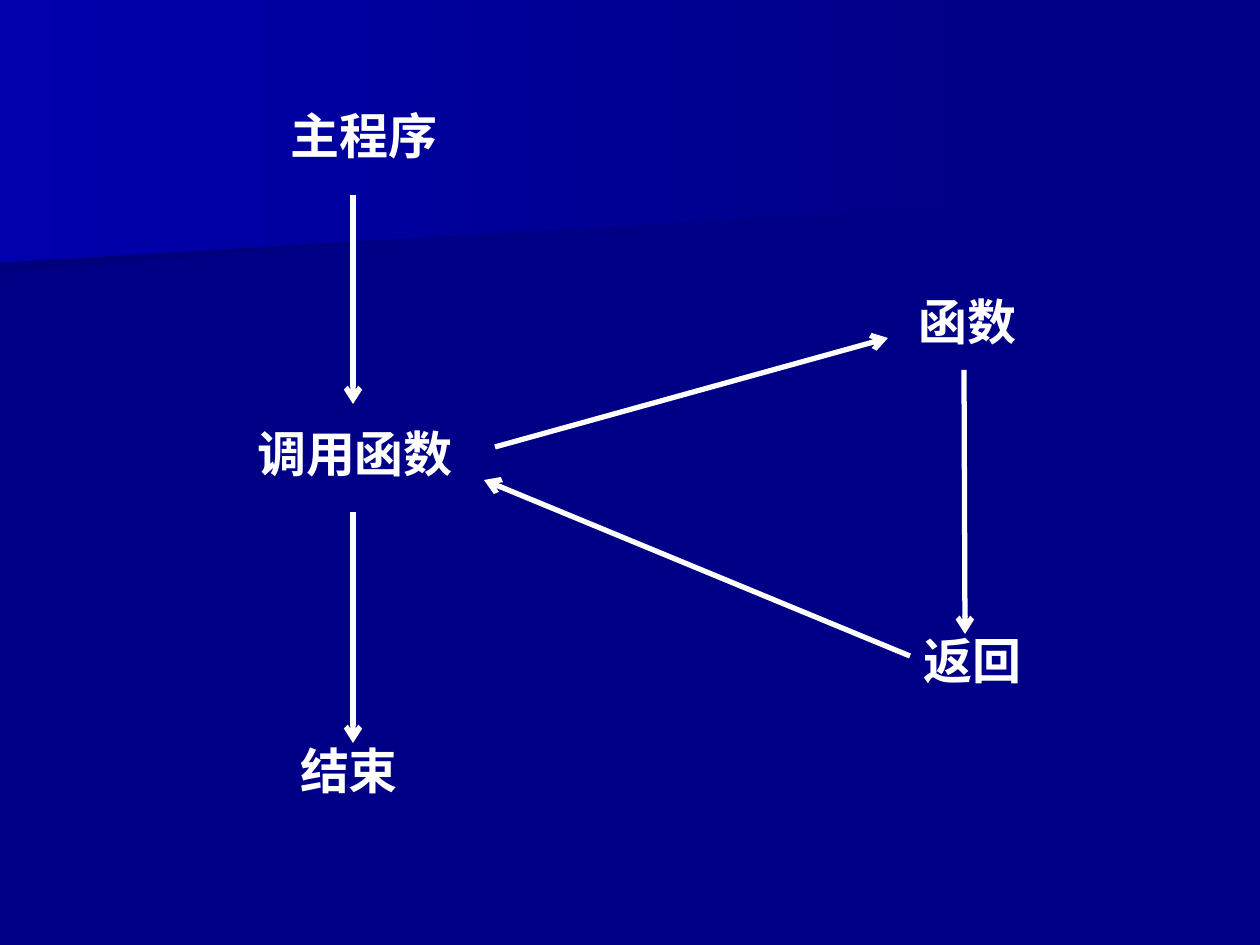
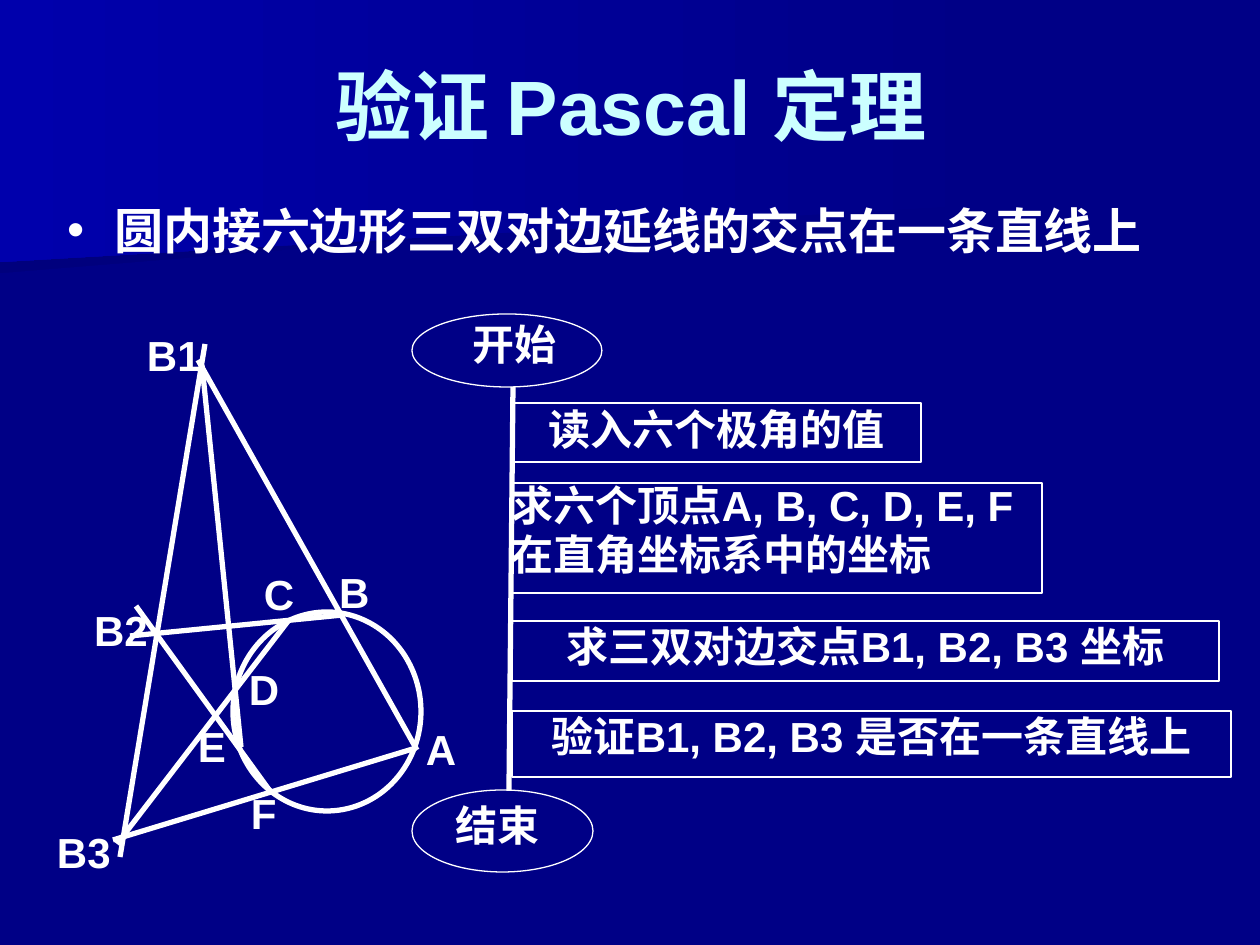
from dataclasses import dataclass

from lxml.etree import SubElement
from pptx import Presentation
from pptx.dml.color import RGBColor as Rgb
from pptx.enum.shapes import MSO_CONNECTOR as Connector, MSO_SHAPE as Shape
from pptx.enum.text import MSO_ANCHOR as Anchor, MSO_AUTO_SIZE as AutoSize, PP_ALIGN as Align
from pptx.oxml.ns import qn
from pptx.util import Emu, Pt

SCALE = 914400 / 126


@dataclass(frozen=True)
class Theme:
    back: Rgb = Rgb.from_string("000086")
    shade: Rgb = Rgb.from_string("00007D")
    glow: Rgb = Rgb.from_string("0000AC")
    title: Rgb = Rgb.from_string("CCFFFF")
    ink: Rgb = Rgb.from_string("FFFFFF")
    bullet: str = "FFE701"
    sans: str = "Arial"
    serif: str = "Times New Roman"
    title_size: int = 44
    body_size: int = 28
    label_size: int = 24
    thick: float = 3
    thin: float = 0.75


theme = Theme()


def px(*lengths):
    return [Emu(round(length * SCALE)) for length in lengths]


def write(box, lines, face=theme.sans, size=theme.label_size, color=theme.ink,
          align=Align.LEFT, anchor=Anchor.TOP, inset=(0, 0), spacing=1.0):
    frame = box.text_frame
    frame.word_wrap = True
    frame.auto_size = AutoSize.NONE
    frame.vertical_anchor = anchor
    frame.margin_left = frame.margin_right = px(inset[0])[0]
    frame.margin_top = frame.margin_bottom = px(inset[1])[0]
    frame.text = lines
    for para in frame.paragraphs:
        para.alignment = align
        para.line_spacing = spacing
        para.space_before = Pt(0)
        para.font.name = face
        para.font.size = Pt(size)
        para.font.bold = True
        para.font.color.rgb = color


deck = Presentation()
deck.slide_width, deck.slide_height = px(1260, 945)
master = deck.slide_master
master.background.fill.solid()
master.background.fill.fore_color.rgb = theme.back

call_page = deck.slides.add_slide(deck.slide_layouts[6])
pascal_page = deck.slides.add_slide(deck.slide_layouts[1])

bands = [
    ([(980, 193), (0, 273), (0, 127), (982, 127), (980, 161)], theme.shade),
    ([(998, 204), (0, 262), (0, 0), (998, 0)], theme.glow),
]
for order, (corners, color) in enumerate(bands):
    outline = call_page.shapes.build_freeform(*corners[0], scale=SCALE)
    outline.add_line_segments(corners[1:], close=True)
    band = outline.convert_to_shape()
    band.shadow.inherit = False
    band.line.fill.background()
    band.fill.gradient()
    band.fill.gradient_angle = 180
    for stop, stop_color in zip(band.fill.gradient_stops, (theme.back, color)):
        stop.color.rgb = stop_color
    band.element.xpath(".//p:cNvPr")[0].set("id", str(100 + order))
    master.shapes.element.insert(2 + order, band.element)

steps = [
    ("主程序", 255, 106, 218, 77),
    ("调用函数", 213, 423, 284, 69),
    ("返回", 888, 631, 169, 76),
    ("结束", 223, 741, 252, 76),
    ("函数", 898, 292, 139, 78),
]
for words, *place in steps:
    box = call_page.shapes.add_textbox(*px(*place))
    write(box, words, theme.serif, theme.body_size, align=Align.CENTER)

title = pascal_page.shapes.title
title.left, title.top, title.width, title.height = px(64, 26, 1134, 158)
write(title, "验证 Pascal 定理", size=theme.title_size, color=theme.title,
      align=Align.CENTER, anchor=Anchor.MIDDLE, inset=(13, 6))

body = pascal_page.placeholders[1]
body.left, body.top, body.width, body.height = px(54, 194, 1134, 83)
indent = px(48)[0]
props = body.text_frame.paragraphs[0]._p.get_or_add_pPr()
props.set("marL", str(indent))
props.set("indent", str(-indent))
SubElement(SubElement(props, qn("a:buClr")), qn("a:srgbClr"), val=theme.bullet)
SubElement(props, qn("a:buSzPct"), val="80000")
SubElement(props, qn("a:buChar"), char="■")
write(body, "圆内接六边形三双对边延线的交点在一条直线上",
      size=theme.body_size, inset=(13, 6))

figure = pascal_page.shapes.add_group_shape().shapes
flow = pascal_page.shapes.add_group_shape().shapes

tasks = [
    ("读入六个极角的值", 403, 409, 59, Align.CENTER, 1.0),
    ("求六个顶点A, B, C, D, E, F\n在直角坐标系中的坐标", 483, 530, 110, Align.LEFT, 0.96),
    ("求三双对边交点B1, B2, B3 坐标", 621, 707, 60, Align.CENTER, 1.0),
    ("验证B1, B2, B3 是否在一条直线上", 711, 719, 66, Align.CENTER, 1.0),
]
outlines = [
    (figure, Shape.OVAL, (233, 612, 188, 199), theme.thick),
    (flow, Shape.OVAL, (412, 314, 190, 73), theme.thin),
    (flow, Shape.OVAL, (412, 790, 181, 82), theme.thin),
]
outlines += [(flow, Shape.RECTANGLE, (512, top, width, height), theme.thin)
             for _, top, width, height, _, _ in tasks]
drawn = []
for shapes, kind, place, weight in outlines:
    shape = shapes.add_shape(kind, *px(*place))
    shape.shadow.inherit = False
    shape.fill.background()
    shape.line.color.rgb = theme.ink
    shape.line.width = Pt(weight)
    drawn.append(shape)
for box, (words, _, _, _, align, spacing) in zip(drawn[3:], tasks):
    write(box, words, align=align, spacing=spacing)

links = [
    (call_page.shapes, True, [
        (353, 195, 353, 404),
        (353, 512, 353, 743),
        (495, 447, 888, 338),
        (964, 370, 965, 634),
        (910, 656, 484, 480),
    ]),
    (figure, False, [
        (113, 840, 416, 748),
        (117, 844, 289, 620),
        (270, 791, 136, 606),
        (130, 636, 343, 615),
        (241, 747, 202, 365),
        (417, 750, 198, 360),
        (120, 857, 205, 344),
    ]),
    (flow, False, [(513, 387, 509, 791)]),
]
for shapes, arrow, lines in links:
    for ends in lines:
        link = shapes.add_connector(Connector.STRAIGHT, *px(*ends))
        link.line.color.rgb = theme.ink
        link.line.width = Pt(theme.thick)
        style = link.element.spPr
        if arrow:
            SubElement(style.find(qn("a:ln")), qn("a:tailEnd"), type="arrow")
        SubElement(style, qn("a:effectLst"))

labels = [
    ("A", 413, 718, 77, 76),
    ("B", 326, 561, 71, 64),
    ("C", 251, 563, 64, 74),
    ("D", 236, 658, 57, 71),
    ("E", 185, 714, 58, 68),
    ("F", 238, 782, 77, 77),
    ("B1", 134, 324, 88, 78),
    ("B2", 81, 598, 93, 71),
    ("B3", 44, 820, 106, 79),
]
for words, *place in labels:
    write(figure.add_textbox(*px(*place)), words, inset=(13, 6))

write(flow.add_textbox(*px(457, 319, 116, 53)), "开始", align=Align.CENTER)
write(flow.add_textbox(*px(456, 800, 112, 63)), "结束")

deck.save("out.pptx")
